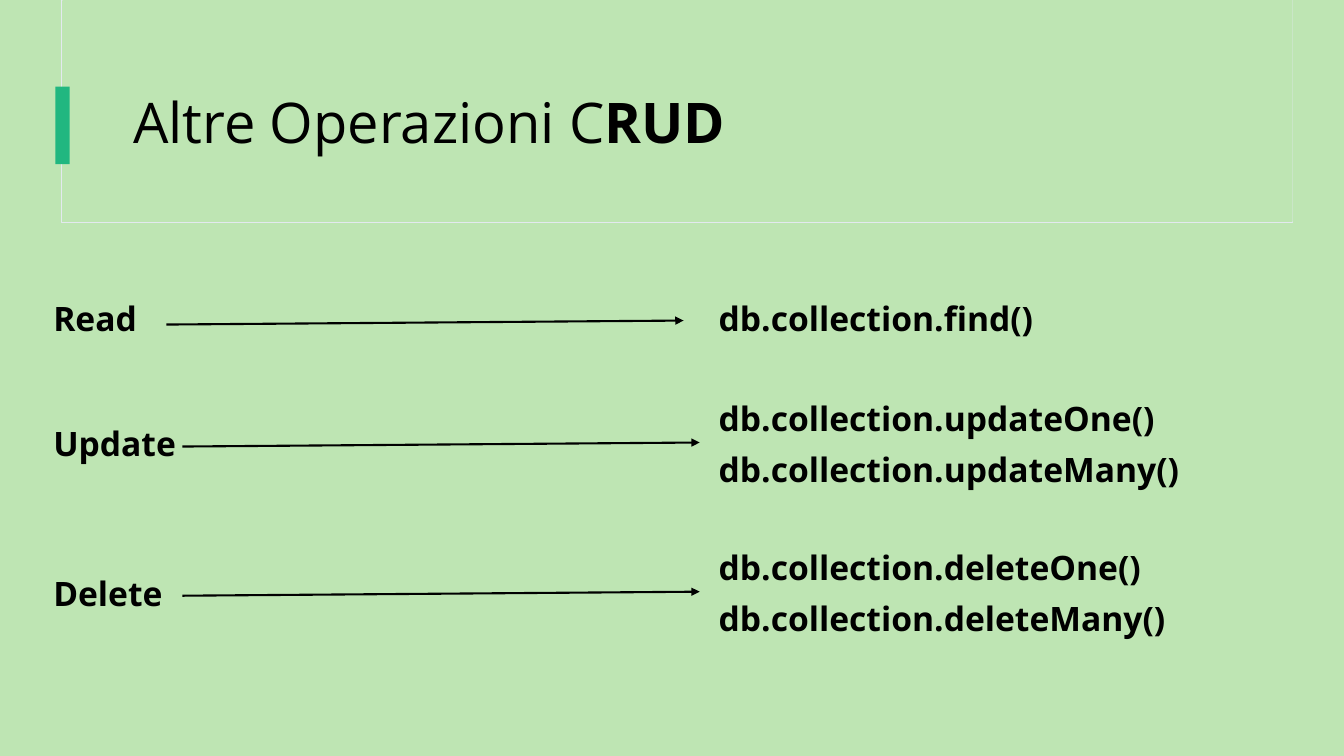
from dataclasses import dataclass

from lxml import etree
from pptx import Presentation
from pptx.dml.color import RGBColor
from pptx.enum.shapes import MSO_CONNECTOR, MSO_SHAPE
from pptx.enum.text import MSO_ANCHOR, MSO_AUTO_SIZE, PP_ALIGN
from pptx.oxml.ns import qn
from pptx.util import Inches, Pt

RECTANGLE = MSO_SHAPE.RECTANGLE
STRAIGHT = MSO_CONNECTOR.STRAIGHT
MIDDLE = MSO_ANCHOR.MIDDLE
LEFT = PP_ALIGN.LEFT
GROW = MSO_AUTO_SIZE.SHAPE_TO_FIT_TEXT
NO_AUTOFIT = MSO_AUTO_SIZE.NONE


@dataclass(frozen=True)
class Theme:
    font: str = "Open Sans"
    background: RGBColor = RGBColor.from_string("BEE5B3")
    frame: RGBColor = RGBColor.from_string("E3E9EF")
    accent: RGBColor = RGBColor.from_string("21B780")
    ink: RGBColor = RGBColor.from_string("000000")
    title_size: Pt = Pt(40)
    text_size: Pt = Pt(24)
    frame_line: Pt = Pt(0.75)
    arrow_line: Pt = Pt(1.5)


THEME = Theme()
LINE_HEIGHT = 0.5
COMMAND_PITCH = 0.51
COMMAND_OFFSET = 6.6
ARROW_LENGTH = 5.13
ARROW_RISE = 0.04

OPERATIONS = [
    (2.91, "Read", ["db.collection.find()"], 1.22, 0.31),
    (4.15, "Update", ["db.collection.updateOne()", "db.collection.updateMany()"], 1.38, 0.28),
    (5.63, "Delete", ["db.collection.deleteOne()", "db.collection.deleteMany()"], 1.38, 0.28),
]


def apply_format(target, values):
    for name, value in values.items():
        setattr(target, name, value)


def add_span(para, text, size, bold):
    span = para.add_run()
    span.text = text
    apply_format(span.font, {"name": THEME.font, "size": size, "bold": bold})
    span.font.color.rgb = THEME.ink


def add_block(page, left, top, width, height, fill, line=None):
    block = page.shapes.add_shape(
        RECTANGLE, Inches(left), Inches(top), Inches(width), Inches(height))
    block.shadow.inherit = False
    block.fill.solid()
    block.fill.fore_color.rgb = fill
    if line is None:
        block.line.fill.background()
    else:
        block.line.color.rgb = line
        block.line.width = THEME.frame_line


def add_label(page, left, top, width, text):
    box = page.shapes.add_textbox(
        Inches(left), Inches(top), Inches(width), Inches(LINE_HEIGHT))
    apply_format(box.text_frame, {"word_wrap": True, "auto_size": GROW})
    add_span(box.text_frame.paragraphs[0], text, THEME.text_size, True)


def add_arrow(page, left, top):
    arrow = page.shapes.add_connector(
        STRAIGHT, Inches(left), Inches(top),
        Inches(left + ARROW_LENGTH), Inches(top - ARROW_RISE))
    arrow.line.color.rgb = THEME.ink
    arrow.line.width = THEME.arrow_line
    etree.SubElement(arrow.line._get_or_add_ln(), qn("a:tailEnd"), type="triangle")
    etree.SubElement(arrow._element.spPr, qn("a:effectLst"))


def build_header(page, left, top, width, height):
    add_block(page, left, top, width, height, THEME.background, THEME.frame)
    add_block(page, left + 0.01, top, width - 0.01, height - 0.01, THEME.background)
    add_block(page, left - 0.06, top + 0.86, 0.14, 0.77, THEME.accent)

    title = page.shapes.title
    page.shapes._spTree.append(title._element)
    apply_format(title, {
        "left": Inches(left + 0.61), "top": Inches(top + 0.6),
        "width": Inches(11.12), "height": Inches(1.29)})
    apply_format(title.text_frame, {
        "word_wrap": True, "auto_size": NO_AUTOFIT, "vertical_anchor": MIDDLE})
    para = title.text_frame.paragraphs[0]
    apply_format(para, {"alignment": LEFT, "line_spacing": 0.9})
    add_span(para, "Altre Operazioni C", THEME.title_size, False)
    add_span(para, "RUD", THEME.title_size, True)


def build_operation(page, left, top, name, commands, arrow_left, arrow_top):
    add_label(page, left, top, 4.15, name)
    first_top = top - COMMAND_PITCH * (len(commands) - 1) / 2
    for index, command in enumerate(commands):
        add_label(page, left + COMMAND_OFFSET, first_top + index * COMMAND_PITCH,
                  5.87, command)
    add_arrow(page, left + arrow_left, top + arrow_top)


def main():
    deck = Presentation()
    apply_format(deck, {"slide_width": Inches(13.33), "slide_height": Inches(7.5)})
    page = deck.slides.add_slide(deck.slide_layouts[5])
    page.background.fill.solid()
    page.background.fill.fore_color.rgb = THEME.background
    build_header(page, 0.61, 0, 12.21, 2.21)
    for top, name, commands, arrow_left, arrow_top in OPERATIONS:
        build_operation(page, 0.43, top, name, commands, arrow_left, arrow_top)
    deck.save("out.pptx")


if __name__ == "__main__":
    main()
